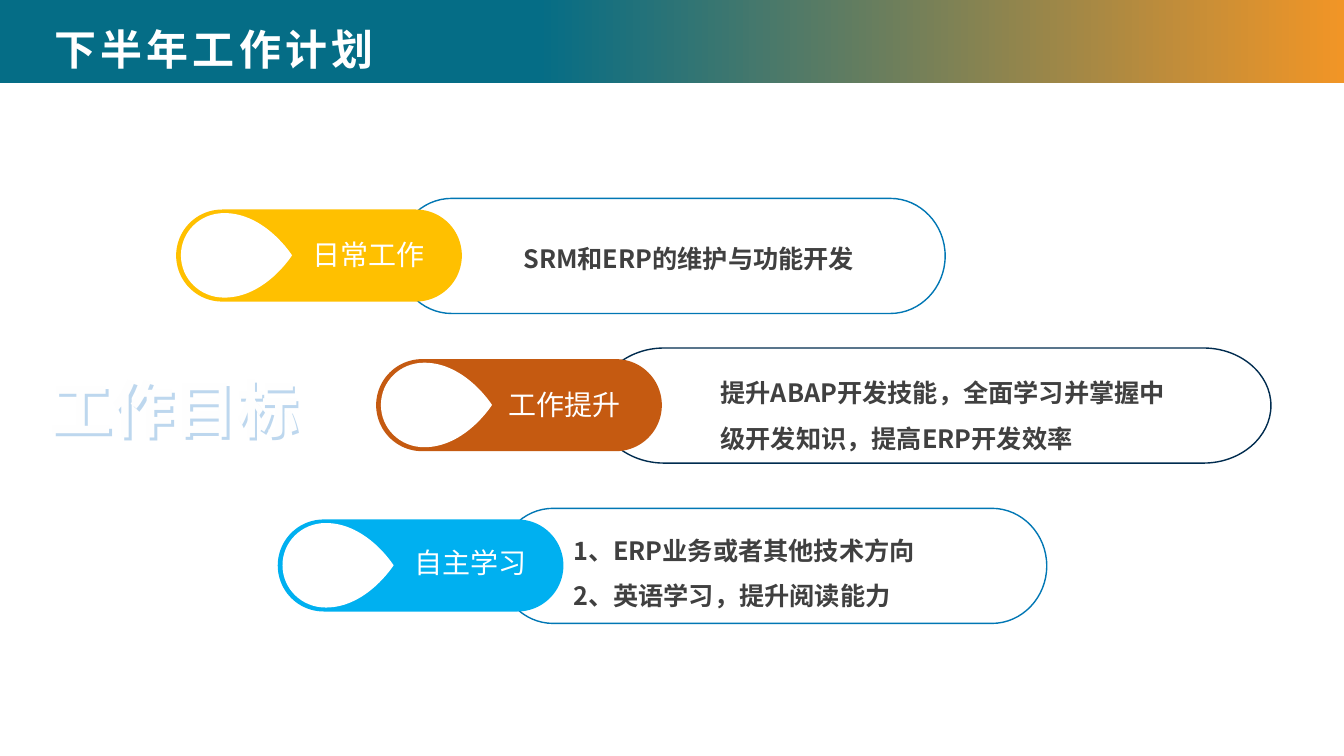
import pptx
import pptx.util
import pptx.dml.color
import pptx.enum.shapes
import pptx.enum.text
import pptx.oxml.ns
import lxml.etree

Cm, Pt = pptx.util.Cm, pptx.util.Pt
RGB = pptx.dml.color.RGBColor
KIND = pptx.enum.shapes.MSO_SHAPE
ANCHOR = pptx.enum.text.MSO_ANCHOR
ALIGN = pptx.enum.text.PP_ALIGN
FIT = pptx.enum.text.MSO_AUTO_SIZE
qn = pptx.oxml.ns.qn
sub = lxml.etree.SubElement

FONT = "Noto Sans CJK SC"
WHITE = RGB(0xFF, 0xFF, 0xFF)
PALE = RGB(0xFE, 0xFE, 0xFE)
GREY = RGB(0x40, 0x40, 0x40)
TEAL = RGB(0x05, 0x6D, 0x86)
ORANGE = RGB(0xF1, 0x95, 0x26)
GOLD = RGB(0xFF, 0xC0, 0x00)
RUST = RGB(0xC5, 0x5A, 0x11)
SKY = RGB(0x00, 0xB0, 0xF0)
BLUE = RGB(0x01, 0x77, 0xB4)
NAVY = RGB(0x00, 0x2C, 0x4F)
EDGE = RGB(0x5B, 0x9B, 0xD5)


def place(shape, x, y, w, h):
    """Move and size a shape, in centimetres."""
    shape.left, shape.top, shape.width, shape.height = Cm(x), Cm(y), Cm(w), Cm(h)


def paint(shape, fill=None, line=None):
    """Set fill and line, and drop the shadow."""
    shape.shadow.inherit = False
    if fill is None:
        shape.fill.background()
    else:
        shape.fill.solid()
        shape.fill.fore_color.rgb = fill
    if line is None:
        shape.line.fill.background()
    else:
        shape.line.color.rgb = line
        shape.line.width = Pt(1)


def write(frame, lines, size, color, bold=False, space=None, track=0, align=ALIGN.LEFT):
    """Fill a text frame, one paragraph and run for each line."""
    for i, text in enumerate(lines):
        para = frame.add_paragraph() if i else frame.paragraphs[0]
        para.alignment = align
        para.space_before = Pt(0)
        if space:
            para.line_spacing = space
        run = para.add_run()
        run.text = text
        font = run.font
        font.size, font.bold, font.name = Pt(size), bold, FONT
        font.color.rgb = color
        props = run._r.get_or_add_rPr()
        sub(props, qn("a:ea")).set("typeface", FONT)
        if track:
            props.set("spc", str(int(track * 100)))


def label(slide, box, lines, size, color, wrap=False, **style):
    """Add a text box."""
    shape = slide.shapes.add_textbox(*map(Cm, box))
    shape.text_frame.word_wrap = wrap
    write(shape.text_frame, lines, size, color, **style)
    return shape


def outline(slide, start, curves):
    """Add a closed freeform of cubic curves, in centimetres."""
    pen = slide.shapes.build_freeform(*map(Cm, start), scale=1.0)
    pen.add_line_segments([tuple(map(Cm, c[-1])) for c in curves], close=True)
    shape = pen.convert_to_shape()
    legs = list(shape._element.iter(qn("a:lnTo")))
    for leg, curve in zip(legs, curves):
        bend = lxml.etree.Element(qn("a:cubicBezTo"))
        for x, y in curve:
            dot = sub(bend, qn("a:pt"))
            dot.set("x", str(Cm(x) - shape.left))
            dot.set("y", str(Cm(y) - shape.top))
        leg.getparent().replace(leg, bend)
    return shape


def card(slide, x, y, w, h, line, fill):
    """Draw the outlined card with round ends."""
    cap, mid, end, low = w / 10, y + h / 2, x + w, y + h
    kx, ky = cap * 0.45, h * 0.225
    left, right = x + cap, end - cap
    curves = [
        ((end, low - ky), (end - kx, low), (right, low)),
        ((left, low),) * 3,
        ((x + kx, low), (x, low - ky), (x, mid)),
        ((x, y + ky), (x + kx, y), (left, y)),
        ((right, y),) * 3,
        ((end - kx, y), (end, y + ky), (end, mid)),
    ]
    paint(outline(slide, (end, mid), curves), fill, line)


def drop(slide, x, y, w, h):
    """Draw the white drop that points right."""
    mid, low, top = y + h / 2, y + h, x + w * 0.39
    kx, ky, knee = w * 0.17, h * 0.225, x + w * 0.76
    tip = (x + w, mid)
    curves = [
        ((x + kx, y), (x, y + ky), (x, mid)),
        ((x, low - ky), (x + kx, low), (top, low)),
        ((knee, low), tip, tip),
        (tip, (knee, y), (top, y)),
    ]
    paint(outline(slide, (top, y), curves), WHITE)


def tag(slide, x, y, w, h, name, color, spot):
    """Draw the coloured tag with its drop, disc and name."""
    pill = slide.shapes.add_shape(KIND.ROUNDED_RECTANGLE, *map(Cm, (x, y, w, h)))
    pill.adjustments[0] = 0.5
    paint(pill, color)
    drop(slide, x + 0.12, y + 0.09, 2.8, 2.13)
    disc = slide.shapes.add_shape(KIND.OVAL, *map(Cm, (x + 0.45, y + 0.33, 1.63, 1.63)))
    paint(disc, WHITE)
    label(slide, (x + spot[0], y + spot[1], 3.35, 1.12), [name], 20, WHITE)


def banner(slide, x, y, w, h):
    """Draw the gradient band and set the title on it."""
    band = slide.shapes.add_shape(KIND.RECTANGLE, *map(Cm, (x, y, w, h)))
    paint(band)
    band.fill.gradient()
    band.fill.gradient_angle = 180
    for stop, color, pos in zip(band.fill.gradient_stops, (ORANGE, TEAL), (0, 0.6)):
        stop.color.rgb, stop.position = color, pos
    slide.shapes._spTree.insert(2, band._element)
    title = slide.shapes.title
    place(title, x + 1.12, y - 0.08, 17.65, 2.97)
    frame = title.text_frame
    frame.vertical_anchor, frame.auto_size = ANCHOR.MIDDLE, FIT.NONE
    write(frame, ["下半年工作计划"], 30, WHITE, bold=True, space=0.9, track=3)


def listing(slide, box, lines):
    """Set the numbered list in the body placeholder."""
    body = slide.placeholders[1]
    place(body, *box)
    frame = body.text_frame
    frame.auto_size, frame.vertical_anchor = FIT.NONE, ANCHOR.TOP
    write(frame, lines, 18, GREY, bold=True, space=1.5)
    for para in frame.paragraphs:
        props = para._p.get_or_add_pPr()
        props.set("marL", "0")
        props.set("indent", "0")
        sub(props, qn("a:buNone"))


def goal(slide, box):
    """Add the outlined heading with its soft blue shadow."""
    shape = label(slide, box, ["工作目标"], 44, PALE, bold=True, track=0.5, align=ALIGN.CENTER)
    props = shape.text_frame.paragraphs[0].runs[0]._r.get_or_add_rPr()
    line = lxml.etree.Element(qn("a:ln"), w=str(Pt(0.75)))
    fill = sub(line, qn("a:solidFill"))
    sub(fill, qn("a:srgbClr")).set("val", str(EDGE))
    props.insert(0, line)
    effect = sub(shape._element.spPr, qn("a:effectLst"))
    shade = sub(effect, qn("a:outerShdw"), dist=str(Pt(3)), dir="2700000", algn="tl")
    tint = sub(shade, qn("a:srgbClr"), val=str(EDGE))
    sub(tint, qn("a:alpha"), val="40000")


def row(slide, x, y, name, color, spot, wide, line, fill, text, box):
    """Draw one plan: card, tag and text, placed from the tag corner."""
    card(slide, x + 5.56, y - 0.28, wide, 2.9, line, fill)
    tag(slide, x, y, 7.2, 2.32, name, color, spot)
    dx, dy, w, h = box
    area = (x + dx, y + dy, w, h)
    if len(text) > 1:
        listing(slide, area, text)
    else:
        label(slide, area, text, 18, GREY, wrap=True, bold=True, space=1.5)


ROWS = [
    (4.44, 5.28, "日常工作", GOLD, (3.19, 0.59), 13.82, BLUE, None,
     ["SRM和ERP的维护与功能开发"], (8.5, 0.35, 11.76, 1.42)),
    (9.48, 9.05, "工作提升", RUST, (3.09, 0.58), 16.99, NAVY, WHITE,
     ["提升ABAP开发技能，全面学习并掌握中级开发知识，提高ERP开发效率"],
     (8.43, -0.04, 11.96, 2.39)),
    (7.0, 13.09, "自主学习", SKY, (3.2, 0.52), 13.82, BLUE, None,
     ["1、ERP业务或者其他技术方向", "2、英语学习，提升阅读能力"],
     (7.19, -0.11, 11.76, 2.57)),
]


def main():
    """Build and save the slide."""
    deck = pptx.Presentation()
    deck.slide_width, deck.slide_height = Cm(33.87), Cm(19.05)
    slide = deck.slides.add_slide(deck.slide_layouts[1])
    banner(slide, 0, -0.1, 33.87, 2.2)
    for item in ROWS:
        row(slide, *item)
    goal(slide, (0.97, 9.22, 6.86, 2.13))
    deck.save("out.pptx")


if __name__ == "__main__":
    main()
